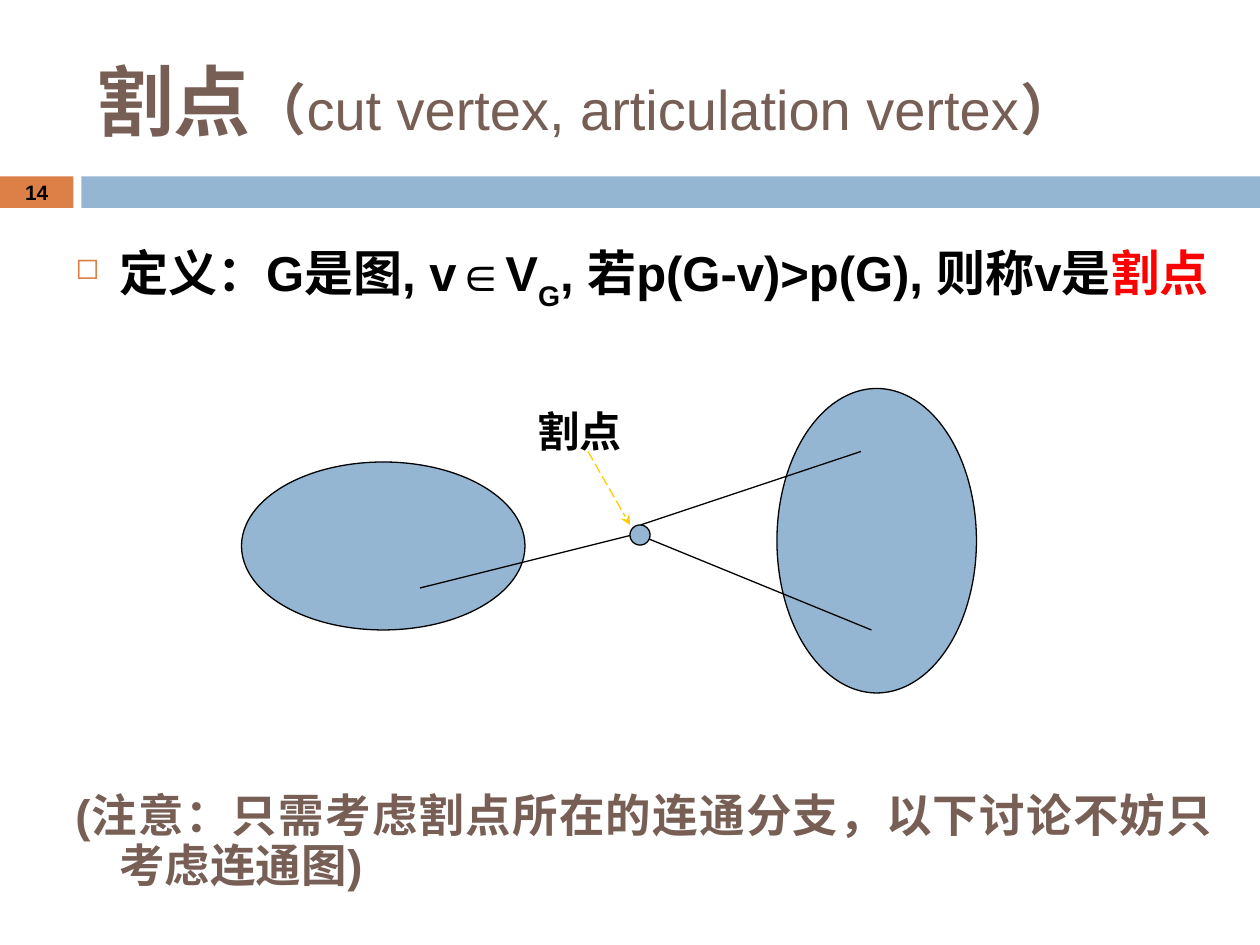
from lxml import etree
from pptx import Presentation
from pptx.dml.color import RGBColor
from pptx.enum.dml import MSO_LINE
from pptx.enum.shapes import MSO_CONNECTOR, MSO_SHAPE
from pptx.enum.text import MSO_ANCHOR, PP_ALIGN
from pptx.oxml.ns import qn
from pptx.util import Pt

RECT, OVAL = MSO_SHAPE.RECTANGLE, MSO_SHAPE.OVAL
LINE = MSO_CONNECTOR.STRAIGHT
DASH = MSO_LINE.LONG_DASH
TOP, MID = MSO_ANCHOR.TOP, MSO_ANCHOR.MIDDLE
LEFT, CENTER, JUST = PP_ALIGN.LEFT, PP_ALIGN.CENTER, PP_ALIGN.JUSTIFY
COLORS = {
    "blue": "94B6D2",
    "orange": "DD8047",
    "brown": "775F55",
    "black": "000000",
    "red": "FF0000",
    "gold": "FFCC00",
}


def color(name):
    return RGBColor.from_string(COLORS[name])


class Deck:
    font = "Arial"
    width = 0.75
    hang = 25.2

    def __init__(self, wide, high):
        self.prs = Presentation()
        self.prs.slide_width, self.prs.slide_height = Pt(wide), Pt(high)
        self.slide = self.prs.slides.add_slide(self.prs.slide_layouts[6])

    def shape(self, kind, box, fill, edge=None):
        shape = self.slide.shapes.add_shape(kind, *map(Pt, box))
        shape.shadow.inherit = False
        shape.fill.solid()
        shape.fill.fore_color.rgb = color(fill)
        if edge:
            shape.line.color.rgb = color(edge)
            shape.line.width = Pt(self.width)
        else:
            shape.line.fill.background()

    def line(self, start, end, tint="black", arrow=False):
        line = self.slide.shapes.add_connector(LINE, *map(Pt, start + end))
        line.line.color.rgb = color(tint)
        line.line.width = Pt(self.width)
        props = line._element.spPr
        if arrow:
            line.line.dash_style = DASH
            etree.SubElement(props.find(qn("a:ln")), qn("a:tailEnd"), type="stealth")
        etree.SubElement(props, qn("a:effectLst"))

    def text(self, box, runs, align=LEFT, anchor=TOP, pad=7.2):
        frame = self.slide.shapes.add_textbox(*map(Pt, box)).text_frame
        frame.word_wrap = True
        frame.vertical_anchor = anchor
        frame.margin_left = frame.margin_right = Pt(pad)
        para = frame.paragraphs[0]
        para.alignment = align
        for words, size, tint, bold, base in runs:
            run = para.add_run()
            run.text = words
            run.font.name = self.font
            run.font.size = Pt(size)
            run.font.bold = bold
            run.font.color.rgb = color(tint)
            if base:
                run._r.get_or_add_rPr().set("baseline", str(base * 1000))
        return para

    def body(self, box, runs, bullet=None):
        para = self.text(box, runs, JUST)
        props = para._p.get_or_add_pPr()
        props.set("marL", str(Pt(self.hang)))
        props.set("indent", str(-Pt(self.hang)))
        if bullet:
            tint = etree.SubElement(props, qn("a:buClr"))
            etree.SubElement(tint, qn("a:srgbClr"), val=COLORS["orange"])
            etree.SubElement(props, qn("a:buSzPct"), val="60000")
            etree.SubElement(props, qn("a:buChar"), char=bullet)
        para.line_spacing = 0.9

    def save(self):
        self.prs.save("out.pptx")


def main():
    deck = Deck(720, 540)
    deck.shape(RECT, (0, 100.8, 42, 18), "orange")
    deck.shape(RECT, (46.5, 100.8, 673.5, 18), "blue")
    deck.text((48, 18, 642, 78), [
        ("割点", 44, "brown", True, 0),
        ("（", 32, "brown", True, 0),
        ("cut vertex, articulation vertex", 32, "brown", False, 0),
        ("）", 32, "brown", True, 0),
    ], anchor=MID)
    deck.text((0, 100, 42, 19.5), [("14", 11.9, "black", True, 0)], CENTER, MID, 0)

    deck.body((36, 135, 664.5, 75), [
        ("定义：G是图, v∈V", 28, "black", True, 0),
        ("G", 28, "black", True, -30),
        (", 若p(G-v)>p(G), 则称v是", 28, "black", True, 0),
        ("割点", 28, "red", True, 0),
    ], "◻")
    deck.body((36, 450, 664.5, 66), [
        ("(注意：只需考虑割点所在的连通分支，以下讨论不妨只考虑连通图)", 26, "brown", True, 0),
    ])

    for box in ((138, 264, 162, 96), (444, 222, 114, 174)):
        deck.shape(OVAL, box, "blue", "black")
    for start, end in (
        ((366, 300), (492, 258)),
        ((366, 306), (498, 360)),
        ((360, 306), (240, 336)),
    ):
        deck.line(start, end)
    deck.shape(OVAL, (360, 300, 11.5, 11.5), "blue", "black")
    deck.text((300, 228, 108, 36.5), [("割点", 24, "black", True, 0)])
    deck.line((336, 258), (360, 300), "gold", True)
    deck.save()


if __name__ == "__main__":
    main()
